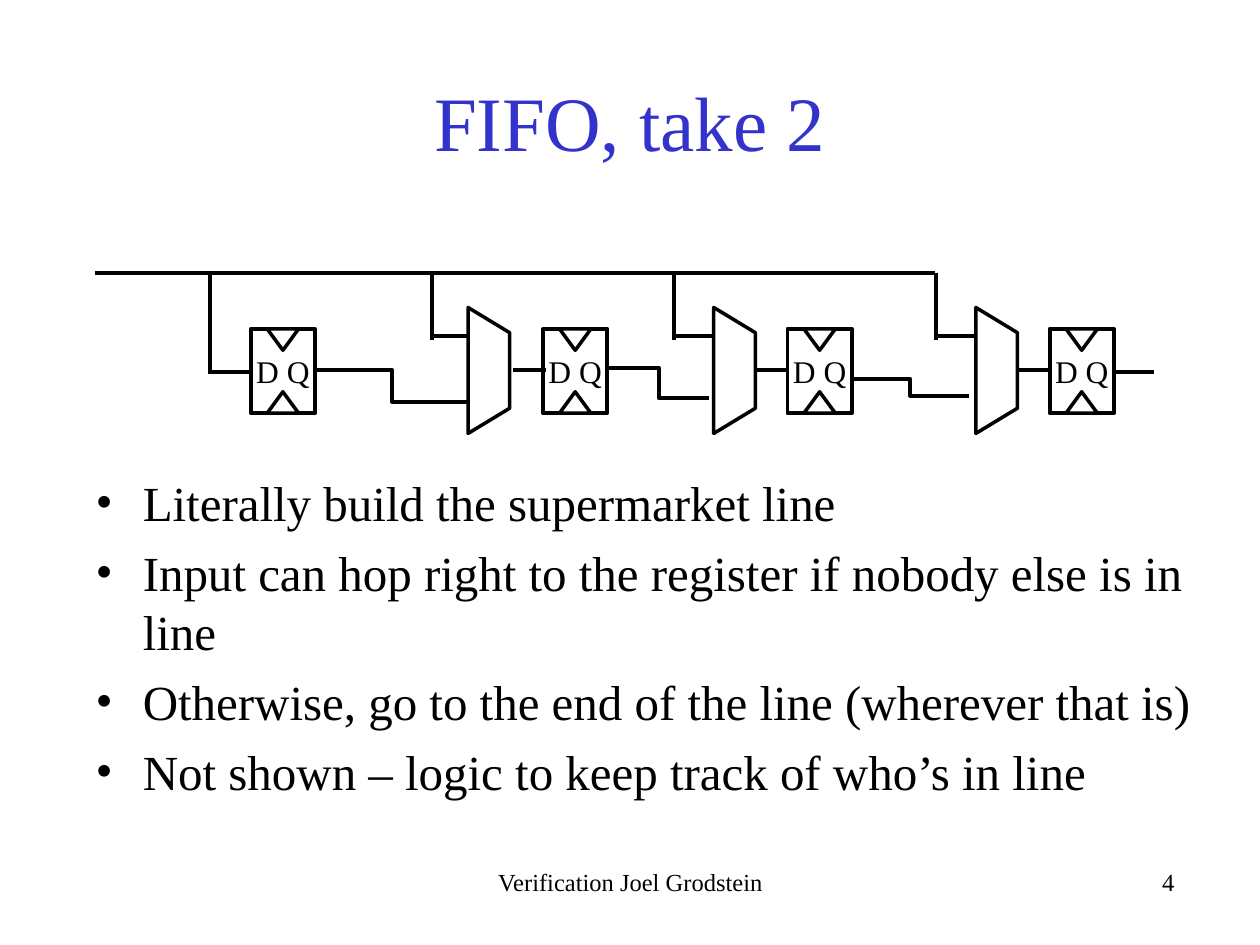
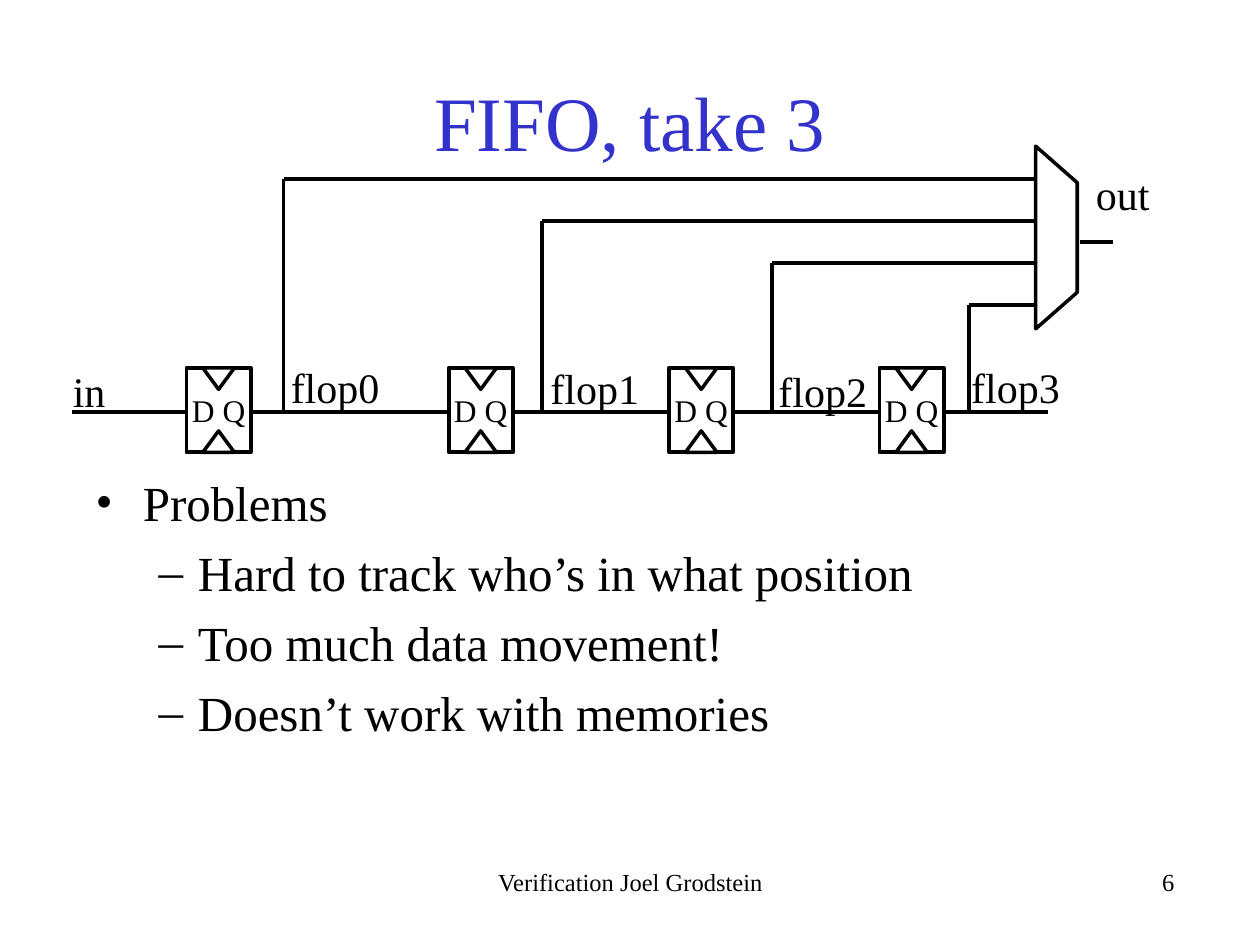
from dataclasses import dataclass
from typing import NamedTuple

from lxml.etree import SubElement
from pptx import Presentation
from pptx.dml.color import RGBColor
from pptx.enum.shapes import MSO_CONNECTOR, MSO_SHAPE
from pptx.enum.text import MSO_ANCHOR, PP_ALIGN
from pptx.oxml.ns import qn
from pptx.util import Inches, Pt


@dataclass(frozen=True)
class Theme:
    font: str = "Times New Roman"
    ink: RGBColor = RGBColor(0x00, 0x00, 0x00)
    paper: RGBColor = RGBColor(0xFF, 0xFF, 0xFF)
    head: RGBColor = RGBColor(0x33, 0x33, 0xCC)
    title: float = 44
    body: float = 28
    label: float = 24
    pin: float = 18
    foot: float = 14
    wire: float = 2.25
    edge: float = 2
    gap: float = 6.5


class Box(NamedTuple):
    left: float
    top: float
    wide: float
    tall: float


class Level(NamedTuple):
    mark: str
    left: float
    hang: float


class Stage(NamedTuple):
    """One mux and the flop behind it: columns of its parts."""
    tap: float
    mux: float
    out: float
    flop: float


class Tap(NamedTuple):
    """One flop and the wire that leads from it to the mux."""
    flop: float
    wire: float
    name: str
    left: float
    top: float


# The grid has 100 columns and 75 rows on a slide of 10 by 7.5 inches
WIDE, TALL = Inches(10), Inches(7.5)
COLS, ROWS = 100, 75
THEME = Theme()

TITLE = Box(7.5, 3.3, 85, 12.5)
BODY = Box(6.6, 37, 89.2, 27.2)
FOOT = Box(34.2, 68.3, 31.7, 5)
PAGE = Box(62.5, 68.3, 31.7, 5)
LEVELS = (Level("•", 3.75, 3.75), Level("–", 8.13, 3.13))

FLOP_W, FLOP_H = 5.1, 6.7
NOTCH_W, NOTCH_H = 2.5, 1.7
MUX_W = 3.3


def col(n: float) -> int:
    return round(WIDE * n / COLS)


def row(n: float) -> int:
    return round(TALL * n / ROWS)


def place(box: Box) -> tuple[int, int, int, int]:
    return col(box.left), row(box.top), col(box.wide), row(box.tall)


# Text
def put_run(para, text: str, size: float, ink: RGBColor = THEME.ink) -> None:
    run = para.add_run()
    run.text = text
    run.font.name = THEME.font
    run.font.size = Pt(size)
    run.font.color.rgb = ink


def put_text(slide, box: Box, text: str, size: float, align=PP_ALIGN.LEFT,
             ink: RGBColor = THEME.ink, anchor=MSO_ANCHOR.TOP) -> None:
    frame = slide.shapes.add_textbox(*place(box)).text_frame
    frame.word_wrap = True
    frame.vertical_anchor = anchor
    para = frame.paragraphs[0]
    para.alignment = align
    put_run(para, text, size, ink)


def put_list(slide, items: list[tuple[int, str]]) -> None:
    frame = slide.shapes.add_textbox(*place(BODY)).text_frame
    frame.word_wrap = True
    for i, (depth, text) in enumerate(items):
        para = frame.add_paragraph() if i else frame.paragraphs[0]
        para.level = depth
        para.space_before = Pt(THEME.gap)
        level = LEVELS[depth]
        props = para._p.get_or_add_pPr()
        props.set("marL", str(col(level.left)))
        props.set("indent", str(-col(level.hang)))
        SubElement(props, qn("a:buFont"), typeface=THEME.font)
        SubElement(props, qn("a:buChar"), char=level.mark)
        put_run(para, text, THEME.body)


# Circuit parts
def put_shape(shapes, kind, box: Box, edge: float = THEME.edge, turn: float = 0):
    shape = shapes.add_shape(kind, *place(box))
    shape.shadow.inherit = False
    shape.fill.solid()
    shape.fill.fore_color.rgb = THEME.paper
    shape.line.color.rgb = THEME.ink
    shape.line.width = Pt(edge)
    shape.rotation = turn
    return shape


def put_wire(slide, x1: float, y1: float, x2: float, y2: float,
             kind=MSO_CONNECTOR.STRAIGHT) -> None:
    wire = slide.shapes.add_connector(kind, col(x1), row(y1), col(x2), row(y2))
    wire.line.color.rgb = THEME.ink
    wire.line.width = Pt(THEME.wire)
    SubElement(wire._element.spPr, qn("a:effectLst"))


def put_flop(slide, left: float, top: float) -> None:
    parts = slide.shapes.add_group_shape().shapes
    body = put_shape(parts, MSO_SHAPE.RECTANGLE,
                     Box(left, top, FLOP_W, FLOP_H), THEME.wire)
    frame = body.text_frame
    frame.margin_left = frame.margin_right = 0
    frame.margin_top = frame.margin_bottom = 0
    frame.vertical_anchor = MSO_ANCHOR.MIDDLE
    frame.paragraphs[0].alignment = PP_ALIGN.CENTER
    put_run(frame.paragraphs[0], "D Q", THEME.pin)
    for drop, turn in ((FLOP_H - NOTCH_H, 0), (0, 180)):
        notch = Box(left + (FLOP_W - NOTCH_W) / 2, top + drop, NOTCH_W, NOTCH_H)
        put_shape(parts, MSO_SHAPE.ISOSCELES_TRIANGLE, notch, turn=turn)


def put_mux(slide, left: float, mid: float, tall: float) -> None:
    # The shape lies flat before its quarter turn
    box = Box(left + (MUX_W - tall) / 2, mid - MUX_W / 2, tall, MUX_W)
    put_shape(slide.shapes, MSO_SHAPE.FLOWCHART_MANUAL_OPERATION, box, turn=270)


# Frame that both slides share
def new_slide(deck, title: str, page: str):
    slide = deck.slides.add_slide(deck.slide_layouts[6])
    put_text(slide, PAGE, page, THEME.foot, PP_ALIGN.RIGHT)
    put_text(slide, TITLE, title, THEME.title, PP_ALIGN.CENTER,
             THEME.head, MSO_ANCHOR.MIDDLE)
    put_text(slide, FOOT, "Verification Joel Grodstein", THEME.foot,
             PP_ALIGN.CENTER)
    return slide


def draw_line(deck) -> None:
    slide = new_slide(deck, "FIFO, take 2", "4")
    bus, top, mid, pin = 21.7, 26.1, 29.4, 26.7
    first, tap = 19.9, 16.7
    stages = (Stage(34.3, 37.15, 40.7, 43.1),
              Stage(53.5, 56.65, 59.9, 62.5),
              Stage(74.3, 77.45, 80.7, 83.3))

    # Input bus and first flop
    put_wire(slide, 7.5, bus, 74.2, bus)
    put_wire(slide, tap, bus, tap, 29.5)
    put_wire(slide, 16.5, 29.5, 19.8, 29.5)
    put_flop(slide, first, top)

    # Each stage: tap, mux, flop
    for stage in stages:
        put_wire(slide, stage.tap, pin, stage.mux + 0.1, pin)
        put_mux(slide, stage.mux, mid, 10)
        put_flop(slide, stage.flop, top)
        put_wire(slide, stage.out, mid, stage.out + 2.6, mid)
        put_wire(slide, stage.tap, bus, stage.tap, 27)

    # Links from each flop to the next mux, then the output
    for link in ((25, 29.4, 37.3, 31.9), (48.3, 29.2, 56.3, 31.6),
                 (67.6, 30.1, 76.9, 31.4)):
        put_wire(slide, *link, MSO_CONNECTOR.ELBOW)
    put_wire(slide, 88.3, 29.5, 91.6, 29.5)

    put_list(slide, [
        (0, "Literally build the supermarket line"),
        (0, "Input can hop right to the register if nobody else is in line"),
        (0, "Otherwise, go to the end of the line (wherever that is)"),
        (0, "Not shown – logic to keep track of who’s in line"),
    ])


def draw_taps(deck) -> None:
    slide = new_slide(deck, "FIFO, take 3", "6")
    put_list(slide, [
        (0, "Problems"),
        (1, "Hard to track who’s in what position"),
        (1, "Too much data movement!"),
        (1, "Doesn’t work with memories"),
    ])
    bus, top, mux, mid = 32.7, 29.2, 82.2, 18.85
    high, step = 14.2, 3.33
    taps = (Tap(14.8, 22.5, "flop0", 22.1, 28.2),
            Tap(35.6, 43, "flop1", 42.7, 28.3),
            Tap(53.1, 61.3, "flop2", 60.8, 28.5),
            Tap(69.8, 76.9, "flop3", 76.1, 28.2))

    # Data line, mux and its output
    put_wire(slide, 5.7, bus, 83.2, bus)
    put_mux(slide, mux, mid, 14.5)
    put_wire(slide, 85.7, 19.2, 88.3, 19.2)
    put_text(slide, Box(4.8, 28.5, 6.7, 5), "in", THEME.label)
    put_text(slide, Box(86, 12.9, 6.7, 5), "out", THEME.label)

    # Each flop feeds the mux one step lower
    for i, tap in enumerate(taps):
        level = high + i * step
        put_flop(slide, tap.flop, top)
        put_wire(slide, tap.wire, level, tap.wire, bus)
        put_wire(slide, tap.wire, level, mux, level)
        put_text(slide, Box(tap.left, tap.top, 9.6, 5), tap.name, THEME.label)


def main() -> None:
    deck = Presentation()
    deck.slide_width, deck.slide_height = WIDE, TALL
    draw_line(deck)
    draw_taps(deck)
    deck.save("out.pptx")


if __name__ == "__main__":
    main()
